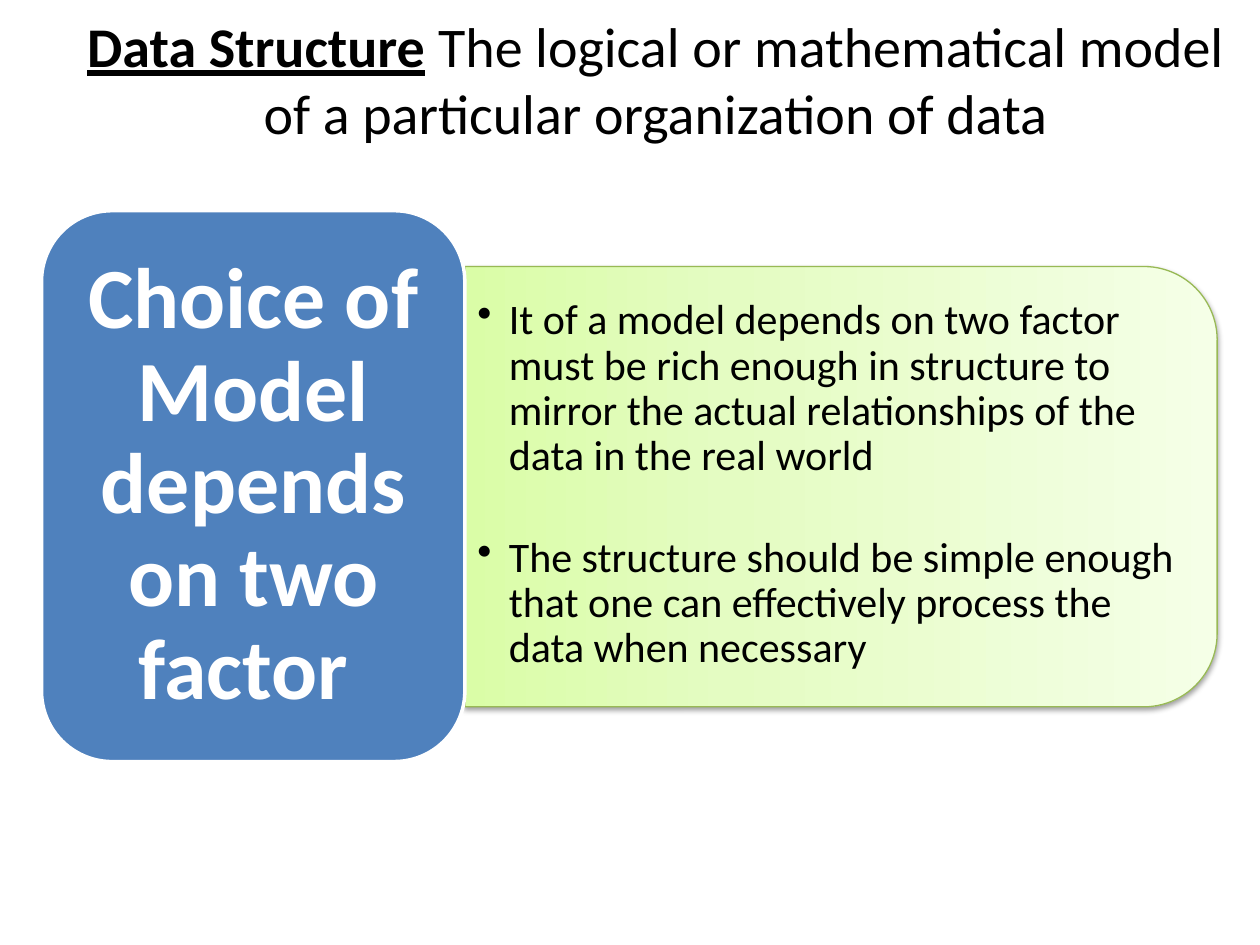
from dataclasses import dataclass

from lxml.etree import SubElement
from pptx import Presentation
from pptx.dml.color import RGBColor
from pptx.enum.shapes import MSO_SHAPE
from pptx.enum.text import MSO_ANCHOR, PP_ALIGN
from pptx.oxml import parse_xml
from pptx.oxml.ns import nsdecls, qn
from pptx.util import Inches, Pt


@dataclass(frozen=True)
class Theme:
    font: str = "Calibri"
    ink: str = "000000"
    paper: str = "FFFFFF"
    accent: str = "4F81BD"
    panel_line: str = "98B955"
    panel_stops: tuple = ((0, "DAFDA7"), (35, "E4FCC2"), (100, "F5FFE7"))
    title_size: int = 32
    choice_size: int = 49
    bullet_size: int = 24


theme = Theme()
presentation = Presentation()
presentation.slide_width = Inches(10)
presentation.slide_height = Inches(7.5)
slide = presentation.slides.add_slide(presentation.slide_layouts[6])


def share(left, top, width, height):
    return [
        int(part * whole / 100)
        for part, whole in zip(
            (left, top, width, height),
            (presentation.slide_width, presentation.slide_height) * 2,
        )
    ]


def style(run, size, color, bold=False):
    run.font.name = theme.font
    run.font.size = Pt(size)
    run.font.bold = bold
    run.font.color.rgb = RGBColor.from_string(color)


title = slide.shapes.add_textbox(*share(5.8, 1.2, 92.5, 14.2))
title.text_frame.word_wrap = True
title.text_frame.vertical_anchor = MSO_ANCHOR.MIDDLE
paragraph = title.text_frame.paragraphs[0]
paragraph.alignment = PP_ALIGN.CENTER
for text, is_term in (
    ("Data Structure", True),
    (" The logical or mathematical model of a particular organization of data", False),
):
    run = paragraph.add_run()
    run.text = text
    style(run, theme.title_size, theme.ink, is_term)
    run.font.underline = is_term

left, top, width, height = share(36.9, 28.2, 59.7, 46.6)
panel = slide.shapes.add_shape(
    MSO_SHAPE.ROUND_2_SAME_RECTANGLE,
    left + (width - height) // 2, top + (height - width) // 2, height, width,
)
panel.rotation = 90
panel.line.color.rgb = RGBColor.from_string(theme.panel_line)
panel.line.width = Pt(0.75)
panel.fill.gradient()
panel.fill.gradient_angle = 90
stop_list = panel._element.spPr.find(qn("a:gradFill")).find(qn("a:gsLst"))
for stop in list(stop_list):
    stop_list.remove(stop)
for position, color in theme.panel_stops:
    stop = SubElement(stop_list, qn("a:gs"), pos=str(position * 1000))
    SubElement(stop, qn("a:srgbClr"), val=color)
panel._element.spPr.append(parse_xml(
    f'<a:effectLst {nsdecls("a")}><a:outerShdw blurRad="{Pt(3.1)}" dist="{Pt(1.6)}" '
    f'dir="5400000" rotWithShape="0"><a:srgbClr val="{theme.ink}">'
    '<a:alpha val="38000"/></a:srgbClr></a:outerShdw></a:effectLst>'
))

factors = slide.shapes.add_textbox(*share(36.9, 30.3, 58, 42.1))
factors.text_frame.word_wrap = True
factors.text_frame.vertical_anchor = MSO_ANCHOR.MIDDLE
factors.text_frame.text = "\n".join((
    "It of a model depends on two factor must be rich enough in structure to "
    "mirror the actual relationships of the data in the real world",
    "The structure should be simple enough that one can effectively process the "
    "data when necessary",
))
for index, paragraph in enumerate(factors.text_frame.paragraphs):
    paragraph.line_spacing = 0.9
    paragraph.space_before = Pt(32 * index)
    properties = paragraph._p.get_or_add_pPr()
    properties.set("marL", str(Inches(0.25)))
    properties.set("indent", str(Inches(-0.25)))
    SubElement(properties, qn("a:buChar"), char="•")
    style(paragraph.runs[0], theme.bullet_size, theme.ink)

choice = slide.shapes.add_shape(
    MSO_SHAPE.ROUNDED_RECTANGLE, *share(3.3, 22.3, 33.6, 58.3)
)
choice.shadow.inherit = False
choice.fill.solid()
choice.fill.fore_color.rgb = RGBColor.from_string(theme.accent)
choice.line.color.rgb = RGBColor.from_string(theme.paper)
choice.line.width = Pt(2)
frame = choice.text_frame
frame.word_wrap = True
frame.vertical_anchor = MSO_ANCHOR.MIDDLE
frame.margin_left = frame.margin_right = Inches(0.2)
frame.margin_top = frame.margin_bottom = Inches(0.1)
frame.text = "Choice of Model depends on two factor "
paragraph = frame.paragraphs[0]
paragraph.alignment = PP_ALIGN.CENTER
paragraph.line_spacing = 0.9
style(paragraph.runs[0], theme.choice_size, theme.paper, True)

presentation.save("out.pptx")
